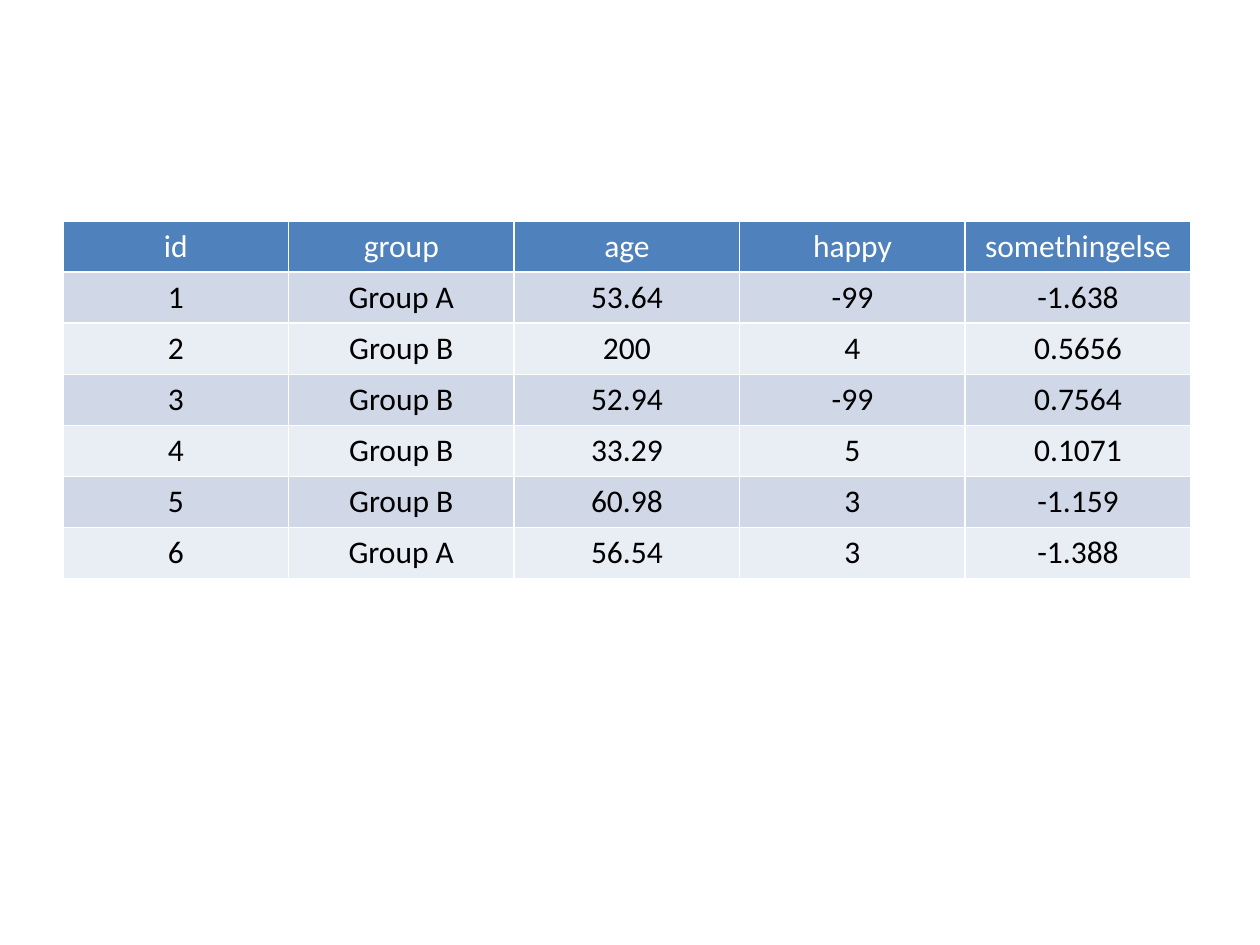
from lxml import etree
from pptx import Presentation
from pptx.dml.color import RGBColor
from pptx.enum.text import PP_ALIGN
from pptx.oxml.ns import qn
from pptx.util import Pt

PX = 914400 // 126
CENTER = PP_ALIGN.CENTER
WHITE = RGBColor(0xFF, 0xFF, 0xFF)
BLACK = RGBColor(0, 0, 0)
HEADER = RGBColor(0x4F, 0x81, 0xBD)
BANDS = [RGBColor(0xD0, 0xD8, 0xE8), RGBColor(0xE9, 0xED, 0xF4)]
FONT = {"name": "Calibri", "size": Pt(18), "bold": False}

ROWS = [
    ["id", "group", "age", "happy", "somethingelse"],
    ["1", "Group A", "53.64", "-99", "-1.638"],
    ["2", "Group B", "200", "4", "0.5656"],
    ["3", "Group B", "52.94", "-99", "0.7564"],
    ["4", "Group B", "33.29", "5", "0.1071"],
    ["5", "Group B", "60.98", "3", "-1.159"],
    ["6", "Group A", "56.54", "3", "-1.388"],
]


def px(n):
    return n * PX


def set_borders(cell, color, width):
    # Borders come before the fill in the cell properties
    tcPr = cell._tc.get_or_add_tcPr()
    for i, side in enumerate(("lnL", "lnR", "lnT", "lnB")):
        ln = etree.Element(qn("a:" + side), w=str(width))
        fill = etree.SubElement(ln, qn("a:solidFill"))
        etree.SubElement(fill, qn("a:srgbClr"), val=str(color))
        tcPr.insert(i, ln)


def fill_cell(cell, text, fill, color):
    cell.fill.solid()
    cell.fill.fore_color.rgb = fill
    set_borders(cell, WHITE, Pt(1))
    p = cell.text_frame.paragraphs[0]
    p.alignment = CENTER
    r = p.add_run()
    r.text = text
    for name, value in FONT.items():
        setattr(r.font, name, value)
    r.font.color.rgb = color


def add_data_table(s, x, y, w, h, rows):
    n_rows, n_cols = len(rows), len(rows[0])
    table = s.shapes.add_table(n_rows, n_cols, px(x), px(y), px(w), px(h)).table
    for i, row in enumerate(rows):
        # Header row, then alternating bands
        fill, color = (BANDS[(i - 1) % 2], BLACK) if i else (HEADER, WHITE)
        for j, text in enumerate(row):
            fill_cell(table.cell(i, j), text, fill, color)


prs = Presentation()
prs.slide_width, prs.slide_height = px(1260), px(945)
s = prs.slides.add_slide(prs.slide_layouts[6])

# Data table
add_data_table(s, 63, 221, 1128, 357, ROWS)

prs.save("out.pptx")
